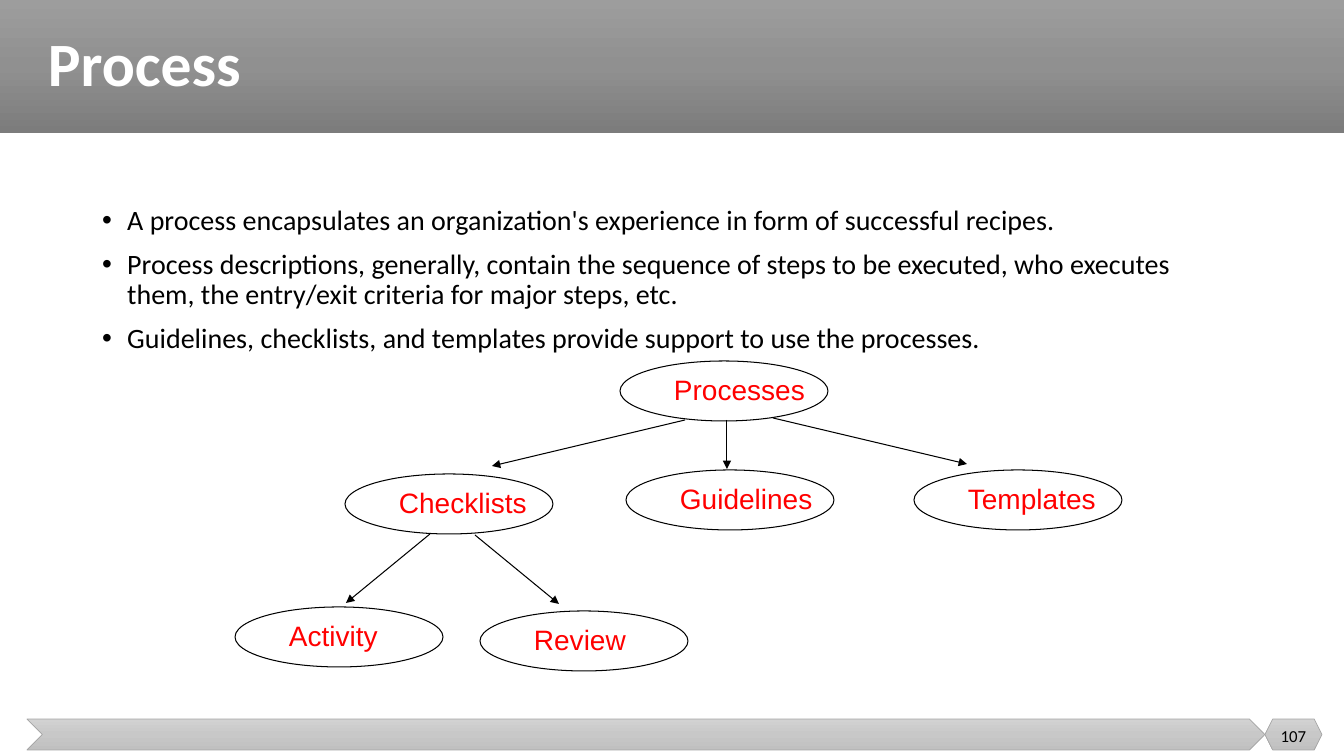
from copy import deepcopy

from pptx import Presentation
from pptx import util as u
from pptx.dml.color import RGBColor
from pptx.enum import shapes, text
from pptx.oxml import parse_xml
from pptx.oxml.ns import nsdecls, qn

PX = u.Inches(1) / 100.8
COLORS = {"black": "000000", "white": "FFFFFF", "label": "FF0000", "edge": "A5A5A5"}
BANNER = ["9D9D9D", "909090", "7C7C7C"]
FOOTER = ["D2D2D2", "C8C8C8", "C0C0C0"]


def px(*lengths):
    return [round(n * PX) for n in lengths]


def add_text(box, lines, color, fmt, **frame):
    """Add a text box with one paragraph per line and return its text frame."""
    tf = s.shapes.add_textbox(*px(*box)).text_frame
    for name, value in {"word_wrap": True, **frame}.items():
        setattr(tf, name, value)
    for i, line in enumerate(lines):
        p = tf.paragraphs[0] if i == 0 else tf.add_paragraph()
        r = p.add_run()
        r.text = line
        for name, value in fmt.items():
            setattr(r.font, name, value)
        r.font.color.rgb = RGBColor.from_string(COLORS[color])
    return tf


prs = Presentation()
prs.slide_width, prs.slide_height = px(1344, 756)
s = prs.slides.add_slide(prs.slide_layouts[6])

# Banner and footer
SHAPE = shapes.MSO_SHAPE
for kind, box, stops in [
    (SHAPE.RECTANGLE, (0, 0, 1344, 133), BANNER),
    (SHAPE.CHEVRON, (27, 719, 1238, 31), FOOTER),
    (SHAPE.HEXAGON, (1265, 719, 57, 31), FOOTER),
]:
    sp = s.shapes.add_shape(kind, *px(*box))
    sp.shadow.inherit = False
    sp.fill.gradient()
    sp.fill.gradient_angle = 270
    stop_list = sp._element.spPr.find(".//" + qn("a:gsLst"))
    stop_list.insert(1, deepcopy(stop_list[0]))
    for stop, position, color in zip(sp.fill.gradient_stops, (0, 0.5, 1), stops):
        stop.position = position
        stop.color.rgb = RGBColor.from_string(color)
    if kind == SHAPE.RECTANGLE:
        sp.line.fill.background()
    else:
        sp.line.color.rgb = RGBColor.from_string(COLORS["edge"])
        sp.line.width = u.Pt(0.5)

# Title and bullets
MIDDLE = text.MSO_ANCHOR.MIDDLE
title = add_text((38, 0, 1284, 133), ["Process"], "white",
                 {"name": "Calibri", "size": u.Pt(44), "bold": True},
                 vertical_anchor=MIDDLE)
title.paragraphs[0].line_spacing = 0.9

left, top, right = px(64, 51, 100)
body = add_text((38, 155, 1284, 523), [
    "A process encapsulates an organization's experience in form of successful recipes.",
    "Process descriptions, generally, contain the sequence of steps to be executed, "
    "who executes them, the entry/exit criteria for major steps, etc.",
    "Guidelines, checklists, and templates provide support to use the processes.",
], "black", {"name": "Calibri", "size": u.Pt(20)},
    margin_left=left, margin_top=top, margin_right=right)
for i, p in enumerate(body.paragraphs):
    pPr = p._p.get_or_add_pPr()
    pPr.set("marL", str(u.Inches(0.25)))
    pPr.set("indent", str(-u.Inches(0.25)))
    pPr.append(parse_xml(f'<a:buFont {nsdecls("a")} typeface="Arial"/>'))
    pPr.append(parse_xml(f'<a:buChar {nsdecls("a")} char="•"/>'))
    p.line_spacing = 0.9
    p.space_before = u.Pt(10 if i else 0)

# Process tree: label, ellipse left and top, label width
for label, x, y, width in [
    ("Processes", 620, 361, 151),
    ("Checklists", 345, 474, 149),
    ("Guidelines", 626, 470, 154),
    ("Activity", 235, 607, 109),
    ("Templates", 914, 470, 151),
    ("Review", 480, 611, 113),
]:
    sp = s.shapes.add_shape(SHAPE.OVAL, *px(x, y, 208, 60))
    sp.shadow.inherit = False
    sp.fill.background()
    sp.line.color.rgb = RGBColor.from_string(COLORS["black"])
    sp.line.width = u.Pt(0.75)
    add_text((x + 44, y + 7, width, 44), [label], "label",
             {"name": "Arial", "size": u.Pt(20)}, word_wrap=False,
             auto_size=text.MSO_AUTO_SIZE.SHAPE_TO_FIT_TEXT)

for ends in [
    (685, 420, 492, 466),
    (773, 418, 967, 464),
    (430, 534, 346, 603),
    (475, 535, 559, 604),
    (727, 420, 727, 469),
]:
    arrow = s.shapes.add_connector(shapes.MSO_CONNECTOR.STRAIGHT, *px(*ends))
    arrow.line.color.rgb = RGBColor.from_string(COLORS["black"])
    arrow.line.width = u.Pt(0.75)
    arrow.line._get_or_add_ln().append(
        parse_xml(f'<a:tailEnd {nsdecls("a")} type="triangle"/>'))
    arrow._element.spPr.append(parse_xml(f'<a:effectLst {nsdecls("a")}/>'))

# Slide number
number = add_text((1265, 716, 57, 40), ["107"], "black",
                  {"name": "Calibri", "size": u.Pt(12)}, vertical_anchor=MIDDLE)
number.paragraphs[0].alignment = text.PP_ALIGN.CENTER

prs.save("out.pptx")
